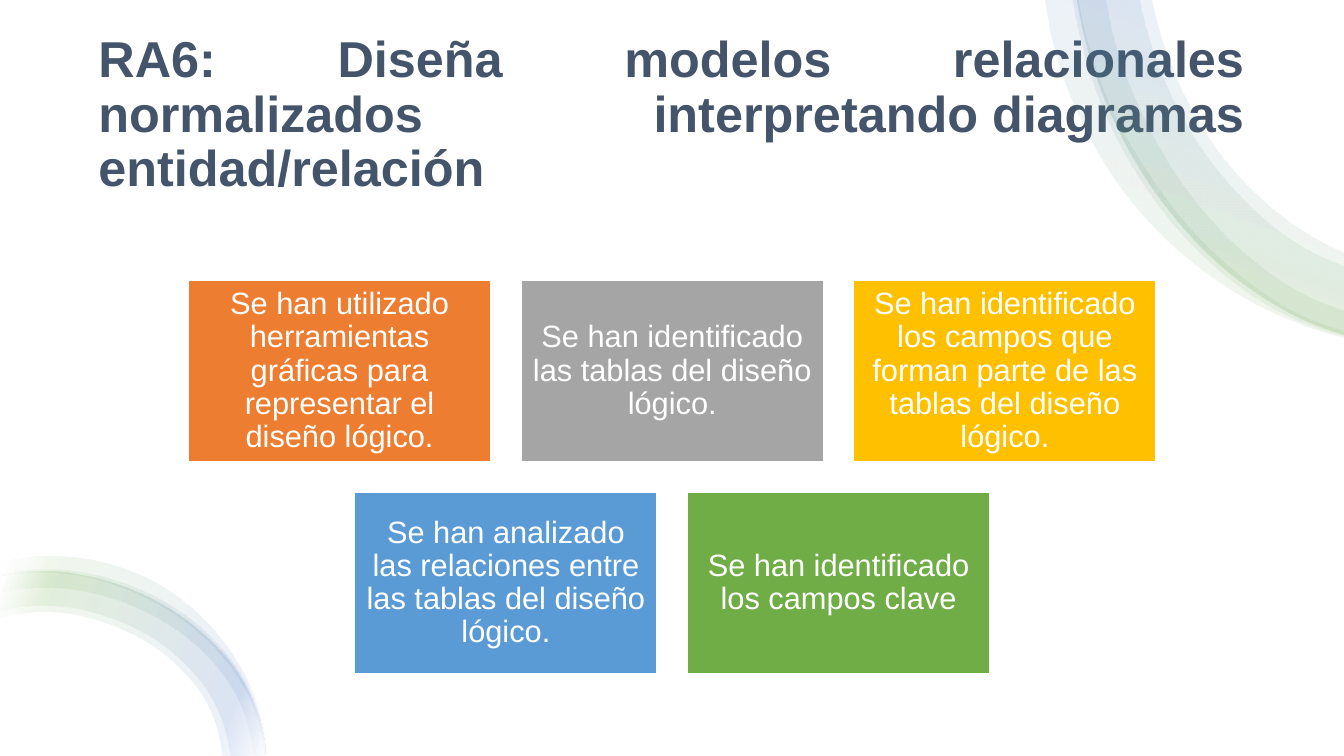
"""Build the slide on learning outcome RA6 with its five criteria cards."""

from dataclasses import dataclass
from math import cos, dist, radians, sin

from lxml.etree import SubElement
from pptx import Presentation
from pptx.dml.color import RGBColor
from pptx.enum.shapes import MSO_SHAPE
from pptx.enum.text import MSO_ANCHOR, PP_ALIGN
from pptx.oxml.ns import qn
from pptx.shapes.autoshape import Shape
from pptx.slide import Slide
from pptx.util import Pt

Point = tuple[float, float]
Edge = list[Point]

WHITE = RGBColor(0xFF, 0xFF, 0xFF)
NAVY = RGBColor(0x44, 0x54, 0x6A)
ORANGE = RGBColor(0xED, 0x7D, 0x31)
GRAY = RGBColor(0xA5, 0xA5, 0xA5)
GOLD = RGBColor(0xFF, 0xC0, 0x00)
SKY = RGBColor(0x5B, 0x9B, 0xD5)
GREEN = RGBColor(0x70, 0xAD, 0x47)
BLUE = RGBColor(0x44, 0x72, 0xC4)

SLIDE_WIDTH, SLIDE_HEIGHT = 960, 540
CARD_WIDTH, CARD_HEIGHT, CARD_GAP = 216, 129.6, 21.6
CARDS_CENTER, CARDS_TOP, CARD_INSET = 480.2, 200.4, 6.6
FONT = "Arial"
HARD_SPACE = chr(160)
TITLE = f"RA6: Diseña modelos relacionales normalizados interpretando{HARD_SPACE}diagramas entidad/relación"
BAND_STOPS = [(2, WHITE), (16, GREEN), (85, BLUE), (100, WHITE)]
BAND_ANGLE, BAND_OPACITY = 200, 10


@dataclass(frozen=True)
class Band:
    """Curved band between two smooth edges, turned by an angle."""

    turn: int
    outer: Edge
    inner: Edge


@dataclass(frozen=True)
class Card:
    """Coloured card with one criterion."""

    text: str
    color: RGBColor


TOP_OUTER: Edge = [(960, 239), (942.5, 233.3), (880.9, 197.4), (829.6, 143.7), (791.6, 77.3), (768.2, -6.5)]
BOTTOM_OUTER: Edge = [(0, 411.8), (28.8, 408.2), (84, 417.6), (133.3, 443.3), (170.3, 481.8),
                      (188.6, 529.2), (189.4, 540)]

BANDS = [
    Band(90, [(960, 241), (900.7, 219), (838.8, 176.4), (803.5, 138.2), (776.2, 94.3), (749.5, 18.7), (745.9, -6.5)],
         [(769, -6.5), (779, 37.4), (796.3, 82.8), (820.8, 124.6), (850.3, 163.4), (885.6, 196.6),
          (925.9, 223.2), (960, 236.2)]),
    Band(90, TOP_OUTER, [(821.5, -6.5), (833.8, 39.6), (877.7, 118.1), (941, 171.4), (960, 180.7)]),
    Band(90, [(960, 239.8), (920.9, 226.1), (844.6, 167.8), (815, 128.9), (791.3, 85.7), (769, 14.4), (765.4, -6.5)],
         [(789.1, -6.5), (797, 31.7), (812.9, 74.9), (860.4, 151.9), (892.1, 183.6), (928.8, 208.8), (960, 221.8)]),
    Band(90, TOP_OUTER, [(812.9, -6.5), (825.8, 42.5), (871.2, 123.8), (936.7, 180), (960, 190.1)]),
    Band(180, BOTTOM_OUTER, [(158.4, 540), (148.3, 504), (119.5, 469.4), (77, 445.7), (28.8, 437), (0, 441.4)]),
    Band(180, BOTTOM_OUTER, [(164.2, 540), (152.6, 501.8), (122.4, 465.8), (78.5, 441.4), (28.8, 432.7), (0, 436.3)]),
    Band(180, [(0, 411.1), (22.3, 407.5), (49.7, 408.2), (102.2, 422.6), (146.2, 451.4), (177.8, 493.2), (189.4, 540)],
         [(180.7, 540), (168.5, 497.5), (138.2, 460.1), (96.5, 434.2), (48.2, 421.2), (23.8, 420.5), (0, 423.4)]),
    Band(180, [(0, 402.5), (22.3, 398.2), (51.1, 398.2), (106.6, 414), (151.2, 448.6), (180, 494.6), (190.1, 540)],
         [(188.6, 540), (176.4, 496.1), (144, 454.3), (100.1, 425.5), (49.7, 410.4), (23, 409), (0, 411.8)]),
]

CARD_ROWS = [
    [
        Card("Se han utilizado herramientas gráficas para representar el diseño lógico.", ORANGE),
        Card(f"Se han identificado las{HARD_SPACE}tablas del diseño lógico.", GRAY),
        Card("Se han identificado los campos que forman parte de las tablas del diseño lógico.", GOLD),
    ],
    [
        Card("Se han analizado las relaciones entre las tablas del diseño lógico.", SKY),
        Card("Se han identificado los campos clave", GREEN),
    ],
]


def turn_back(points: Edge, angle: float) -> Edge:
    """Turn the points anticlockwise about the centre of their bounds."""
    center_x, center_y = ((min(axis) + max(axis)) / 2 for axis in zip(*points))
    c, s = cos(radians(angle)), sin(radians(angle))
    return [(center_x + (x - center_x) * c + (y - center_y) * s,
             center_y - (x - center_x) * s + (y - center_y) * c) for x, y in points]


def bezier_segments(edge: Edge) -> list[Edge]:
    """Return two handles and an end point for each part of a smooth edge."""
    gaps = [dist(a, b) for a, b in zip(edge, edge[1:])]
    slopes = [((b[0] - a[0]) / gap, (b[1] - a[1]) / gap) for a, b, gap in zip(edge, edge[1:], gaps)]
    inside = [tuple((u * h + v * g) / (g + h) for u, v in zip(m, n))
              for m, n, g, h in zip(slopes, slopes[1:], gaps, gaps[1:])]
    first = tuple(2 * u - v for u, v in zip(slopes[0], inside[0]))
    last = tuple(2 * u - v for u, v in zip(slopes[-1], inside[-1]))
    tangents = [first, *inside, last]
    return [[(a[0] + m[0] * gap / 3, a[1] + m[1] * gap / 3), (b[0] - n[0] * gap / 3, b[1] - n[1] * gap / 3), b]
            for a, b, m, n, gap in zip(edge, edge[1:], tangents, tangents[1:], gaps)]


def fill_band(shape: Shape) -> None:
    """Give the shape the translucent band gradient."""
    shape.fill.gradient()
    shape.fill.gradient_angle = 360 - BAND_ANGLE
    stops = shape.element.spPr.find(qn("a:gradFill")).find(qn("a:gsLst"))
    for stop in list(stops):
        stops.remove(stop)
    for position, color in BAND_STOPS:
        stop = SubElement(stops, qn("a:gs"), pos=str(position * 1000))
        paint = SubElement(stop, qn("a:srgbClr"), val=str(color))
        SubElement(paint, qn("a:alpha"), val=str(BAND_OPACITY * 1000))


def draw_band(page: Slide, band: Band) -> None:
    """Draw one curved band."""
    knots = turn_back(band.outer + band.inner, band.turn)
    outline = [(Pt(x), Pt(y)) for x, y in knots]
    builder = page.shapes.build_freeform(*outline[0])
    builder.add_line_segments(outline[1:], close=True)
    shape = builder.convert_to_shape()
    split = len(band.outer)
    lines = list(shape.element.spPr.iter(qn("a:lnTo")))
    curved = lines[:split - 1] + lines[split:len(knots) - 1]
    for line, segment in zip(curved, bezier_segments(knots[:split]) + bezier_segments(knots[split:])):
        curve = line.getparent().makeelement(qn("a:cubicBezTo"))
        for x, y in segment:
            SubElement(curve, qn("a:pt"), x=str(Pt(x) - shape.left), y=str(Pt(y) - shape.top))
        line.getparent().replace(line, curve)
    shape.rotation = band.turn
    shape.shadow.inherit = False
    shape.line.fill.background()
    fill_band(shape)


def draw_box(page: Slide, left: float, top: float, width: float, height: float, color: RGBColor) -> Shape:
    """Draw a filled rectangle without outline."""
    box = page.shapes.add_shape(MSO_SHAPE.RECTANGLE, Pt(left), Pt(top), Pt(width), Pt(height))
    box.shadow.inherit = False
    box.fill.solid()
    box.fill.fore_color.rgb = color
    box.line.fill.background()
    return box


def write_text(box: Shape, text: str, size: float, color: RGBColor, align: PP_ALIGN, bold: bool = False) -> None:
    """Write one formatted paragraph in the middle of the box."""
    frame = box.text_frame
    frame.word_wrap = True
    frame.vertical_anchor = MSO_ANCHOR.MIDDLE
    frame.text = text
    para = frame.paragraphs[0]
    para.alignment, para.line_spacing = align, 0.9
    for span in para.runs:
        span.font.name, span.font.size, span.font.bold = FONT, Pt(size), bold
        span.font.color.rgb = color


def draw_card(page: Slide, card: Card, left: float, top: float) -> None:
    """Draw one criterion card."""
    box = draw_box(page, left, top, CARD_WIDTH, CARD_HEIGHT, card.color)
    box.line.color.rgb = WHITE
    box.line.width = Pt(1)
    frame = box.text_frame
    frame.margin_left = frame.margin_right = frame.margin_top = frame.margin_bottom = Pt(CARD_INSET)
    write_text(box, card.text, 22, WHITE, PP_ALIGN.CENTER)


def main() -> None:
    """Build and save the deck."""
    deck = Presentation()
    deck.slide_width, deck.slide_height = Pt(SLIDE_WIDTH), Pt(SLIDE_HEIGHT)
    page = deck.slides.add_slide(deck.slide_layouts[6])
    draw_box(page, 0, 0, SLIDE_WIDTH, SLIDE_HEIGHT, WHITE)
    title = page.shapes.add_textbox(Pt(63.2), Pt(36), Pt(833), Pt(93.6))
    write_text(title, TITLE, 36, NAVY, PP_ALIGN.JUSTIFY, bold=True)
    for band in BANDS:
        draw_band(page, band)
    for row, cards in enumerate(CARD_ROWS):
        row_width = len(cards) * (CARD_WIDTH + CARD_GAP) - CARD_GAP
        for column, card in enumerate(cards):
            left = CARDS_CENTER - row_width / 2 + column * (CARD_WIDTH + CARD_GAP)
            draw_card(page, card, left, CARDS_TOP + row * (CARD_HEIGHT + CARD_GAP))
    deck.save("out.pptx")


if __name__ == "__main__":
    main()
